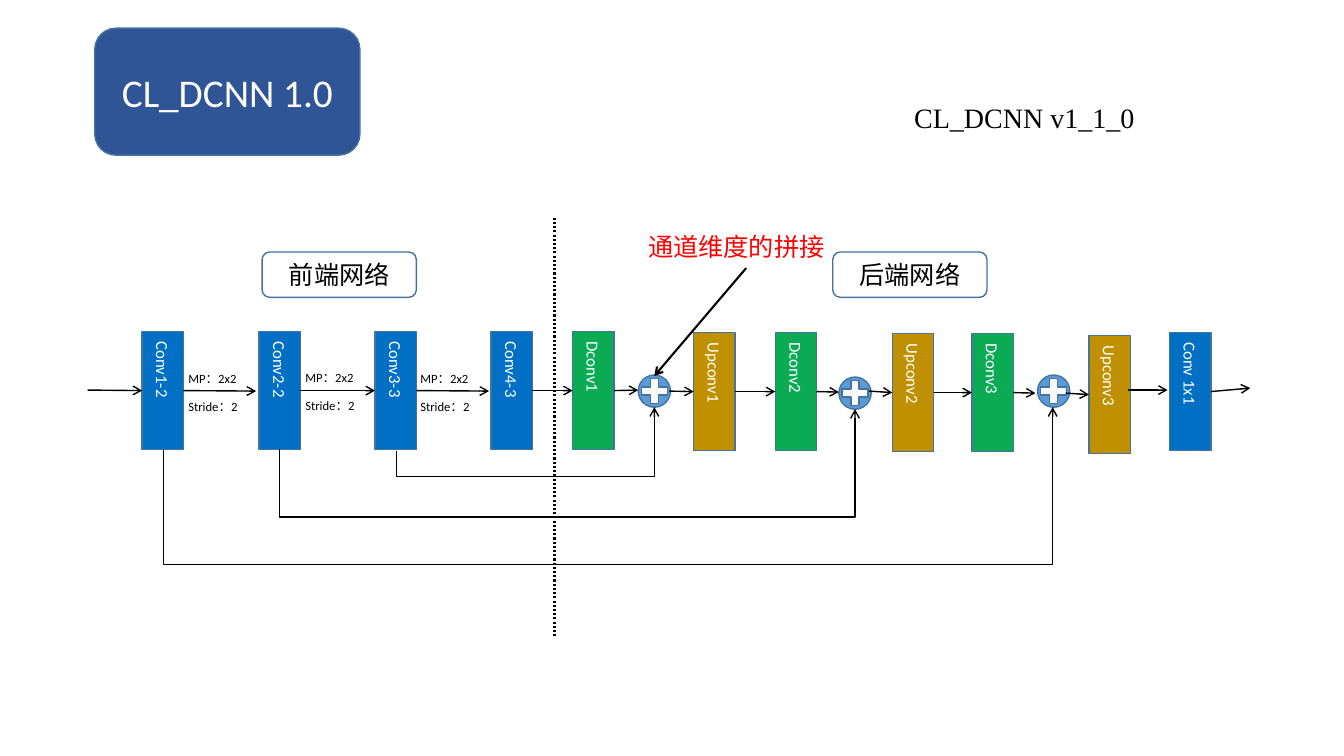
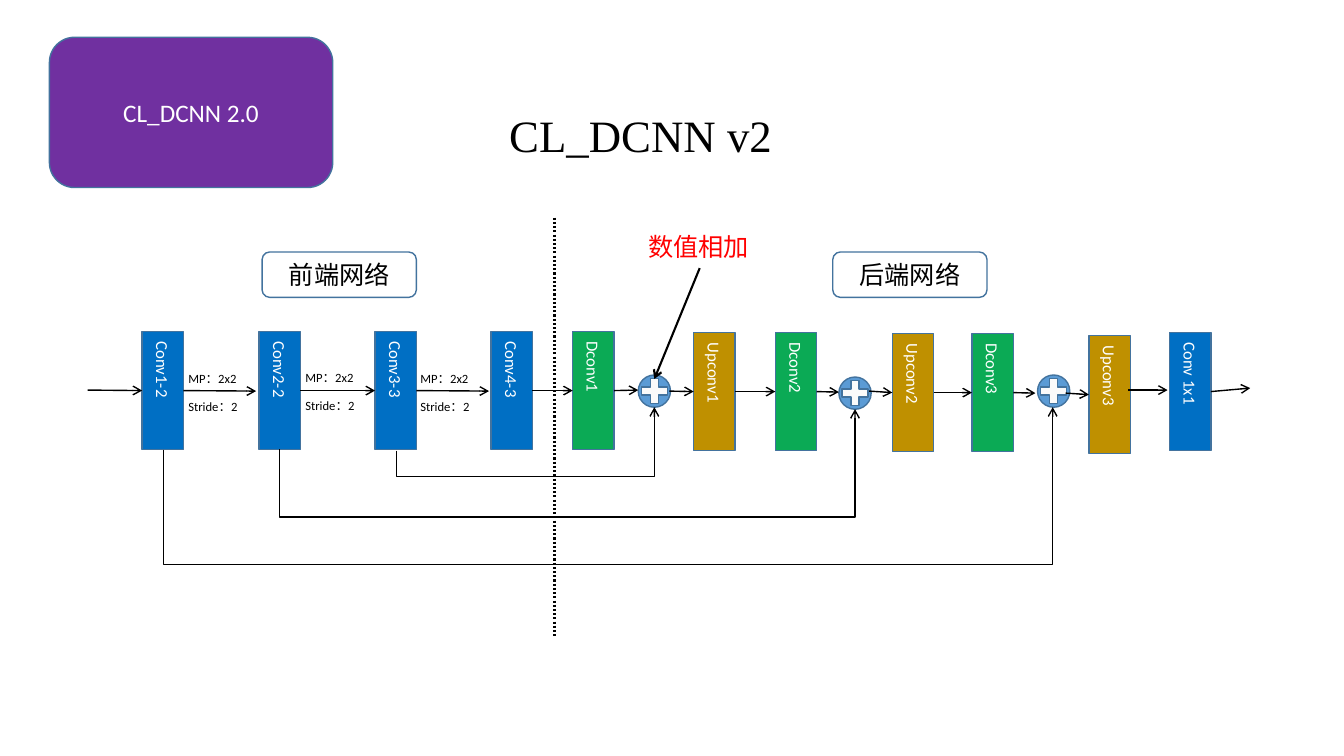
from dataclasses import dataclass

from lxml import etree
from pptx import Presentation
from pptx.dml.color import RGBColor
from pptx.enum.dml import MSO_LINE
from pptx.enum.shapes import MSO_CONNECTOR, MSO_SHAPE
from pptx.enum.text import MSO_ANCHOR, MSO_AUTO_SIZE, PP_ALIGN
from pptx.oxml.ns import qn
from pptx.util import Inches, Pt

RECTANGLE = MSO_SHAPE.RECTANGLE
ROUNDED = MSO_SHAPE.ROUNDED_RECTANGLE
OVAL = MSO_SHAPE.OVAL
PLUS = MSO_SHAPE.MATH_PLUS
STRAIGHT = MSO_CONNECTOR.STRAIGHT
ELBOW = MSO_CONNECTOR.ELBOW
DOTTED = MSO_LINE.ROUND_DOT
LEFT, CENTER = PP_ALIGN.LEFT, PP_ALIGN.CENTER
TOP, MIDDLE = MSO_ANCHOR.TOP, MSO_ANCHOR.MIDDLE
SIDE_LEFT, SIDE_RIGHT = 1, 3


@dataclass(frozen=True)
class Theme:
    body_font: str = "Calibri"
    title_font: str = "Times New Roman"
    black: str = "000000"
    white: str = "FFFFFF"
    red: str = "FF0000"
    outline: str = "43739E"
    conv: str = "006FC4"
    dconv: str = "0BAA55"
    upconv: str = "BF9000"
    node: str = "5B9BD5"
    plus: str = "FAFAFA"
    navy: str = "2F5597"
    purple: str = "7030A0"
    note_size: float = 9
    block_size: float = 12
    label_size: float = 18
    thin: float = 1
    thick: float = 1.5


THEME = Theme()

BLOCK_WIDTH, BLOCK_HEIGHT = 0.41, 1.17
# name, left, top, fill
BLOCKS = [
    ("Conv1-2", 1.41, 3.29, THEME.conv),
    ("Conv2-2", 2.57, 3.29, THEME.conv),
    ("Conv3-3", 3.72, 3.29, THEME.conv),
    ("Conv4-3", 4.87, 3.29, THEME.conv),
    ("Dconv1", 5.68, 3.29, THEME.dconv),
    ("Upconv1", 6.88, 3.3, THEME.upconv),
    ("Dconv2", 7.69, 3.3, THEME.dconv),
    ("Upconv2", 8.85, 3.31, THEME.upconv),
    ("Dconv3", 9.64, 3.31, THEME.dconv),
    ("Upconv3", 10.8, 3.33, THEME.upconv),
    ("Conv 1x1", 11.6, 3.3, THEME.conv),
]
# Each end is a block name or a free point
FLOW = [
    ((0.87, 3.87), "Conv1-2"),
    ("Conv1-2", (2.54, 3.88)),
    ("Conv2-2", "Conv3-3"),
    ("Conv3-3", (4.85, 3.88)),
    ("Conv4-3", "Dconv1"),
    ("Dconv1", (6.33, 3.87)),
    ((6.64, 3.88), "Upconv1"),
    ("Upconv1", "Dconv2"),
    ("Dconv2", (8.32, 3.89)),
    ((8.62, 3.88), "Upconv2"),
    ("Upconv2", "Dconv3"),
    ("Dconv3", (10.27, 3.9)),
    ((10.57, 3.9), "Upconv3"),
    ((11.19, 3.87), (11.58, 3.87)),
    ("Conv 1x1", (12.4, 3.85)),
]
MERGES = [(6.49, 3.88), (8.48, 3.9), (10.45, 3.88)]
# begin, end, depth of the horizontal run
SKIPS = [
    ((3.93, 4.47), (6.49, 4.04), 4.73),
    ((2.77, 4.46), (8.48, 4.06), 5.13),
    ((1.62, 4.46), (10.44, 4.04), 5.6),
]
POOLING = [(1.77, 3.63), (2.93, 3.62), (4.07, 3.63)]


def put_text(shape, text, *, size, color, font=THEME.body_font, align=CENTER,
             anchor=MIDDLE, vertical=False):
    frame = shape.text_frame
    frame.word_wrap = True
    frame.vertical_anchor = anchor
    if vertical:
        frame._txBody.bodyPr.set("vert", "eaVert")
    paragraph = frame.paragraphs[0]
    paragraph.alignment = align
    run = paragraph.add_run()
    run.text = text
    run.font.name = font
    run.font.size = Pt(size)
    run.font.color.rgb = RGBColor.from_string(color)


class Diagram:
    def __init__(self, presentation):
        self.presentation = presentation
        self.slide = None

    def new_slide(self):
        self.slide = self.presentation.slides.add_slide(self.presentation.slide_layouts[6])

    def shape(self, kind, left, top, width, height, fill=None, parent=None):
        shapes = (parent or self.slide).shapes
        shape = shapes.add_shape(kind, Inches(left), Inches(top), Inches(width), Inches(height))
        shape.shadow.inherit = False
        if fill:
            shape.fill.solid()
            shape.fill.fore_color.rgb = RGBColor.from_string(fill)
        else:
            shape.fill.background()
        shape.line.color.rgb = RGBColor.from_string(THEME.outline)
        shape.line.width = Pt(THEME.thin)
        return shape

    def text(self, text, left, top, width, height, **text_format):
        box = self.slide.shapes.add_textbox(Inches(left), Inches(top), Inches(width), Inches(height))
        put_text(box, text, anchor=TOP, **text_format)
        box.text_frame.auto_size = MSO_AUTO_SIZE.SHAPE_TO_FIT_TEXT

    def badge(self, text, area, fill=None, color=THEME.white, size=THEME.label_size):
        put_text(self.shape(ROUNDED, *area, fill=fill), text, size=size, color=color)

    def block(self, name, left, top, fill):
        block = self.shape(RECTANGLE, left, top, BLOCK_WIDTH, BLOCK_HEIGHT, fill)
        put_text(block, name, size=THEME.block_size, color=THEME.white, vertical=True)
        return block

    def merge(self, x, y):
        """Draw a circled plus centred on the given point."""
        group = self.slide.shapes.add_group_shape()
        for kind, width, height, fill in ((OVAL, 0.32, 0.32, THEME.node),
                                          (PLUS, 0.35, 0.34, THEME.plus)):
            self.shape(kind, x - width / 2, y - height / 2, width, height, fill, group)

    def line(self, begin, end, kind=STRAIGHT, width=THEME.thin, arrow=True, dash=None):
        connector = self.slide.shapes.add_connector(kind, *map(Inches, (*begin, *end)))
        connector.line.color.rgb = RGBColor.from_string(THEME.black)
        connector.line.width = Pt(width)
        if dash:
            connector.line.dash_style = dash
        properties = connector._element.spPr
        if arrow:
            etree.SubElement(properties.find(qn("a:ln")), qn("a:tailEnd"), type="arrow")
        etree.SubElement(properties, qn("a:effectLst"))
        return connector

    def flow(self, begin, end, blocks):
        """Draw an arrow; an end that names a block is joined to its side."""
        points = [(0, 0) if point in blocks else point for point in (begin, end)]
        connector = self.line(*points)
        if begin in blocks:
            connector.begin_connect(blocks[begin], SIDE_RIGHT)
        if end in blocks:
            connector.end_connect(blocks[end], SIDE_LEFT)

    def skip(self, begin, end, depth):
        """Draw a U-shaped arrow: an elbow turned by a quarter."""
        rise, run = begin[1] - end[1], end[0] - begin[0]
        x, y = (begin[0] + end[0]) / 2, (begin[1] + end[1]) / 2
        connector = self.line((x + rise / 2, y + run / 2), (x - rise / 2, y - run / 2), ELBOW)
        properties = connector._element.spPr
        properties.find(qn("a:xfrm")).set("rot", str(90 * 60000))
        geometry = properties.find(qn("a:prstGeom"))
        adjustments = geometry.find(qn("a:avLst"))
        if adjustments is None:
            adjustments = etree.SubElement(geometry, qn("a:avLst"))
        bend = round((begin[1] - depth) / rise * 100000)
        etree.SubElement(adjustments, qn("a:gd"), name="adj1", fmla=f"val {bend}")

    def network(self):
        blocks = {block[0]: self.block(*block) for block in BLOCKS}
        for center in MERGES:
            self.merge(*center)
        for begin, end in FLOW:
            self.flow(begin, end, blocks)
        for skip in SKIPS:
            self.skip(*skip)
        for left, top in POOLING:
            for row, note in enumerate(("MP：2x2", "Stride：2")):
                self.text(note, left, top + 0.28 * row, 0.76, 0.25,
                          size=THEME.note_size, color=THEME.black, align=LEFT)
        self.line((5.5, 2.16), (5.5, 6.31), width=THEME.thick, arrow=False, dash=DOTTED)
        for label, left in (("前端网络", 2.6), ("后端网络", 8.26)):
            self.badge(label, (left, 2.5, 1.53, 0.45), color=THEME.black)

    def callout(self, text, width, begin, end):
        self.text(text, 6.33, 2.25, width, 0.4,
                  size=THEME.label_size, color=THEME.red, align=LEFT)
        self.line(begin, end, width=THEME.thick)

    def title(self, text, area, size):
        self.text(text, *area, size=size, color=THEME.black, font=THEME.title_font)


def main():
    presentation = Presentation()
    presentation.slide_width = Inches(13.33)
    presentation.slide_height = Inches(7.5)
    diagram = Diagram(presentation)

    diagram.new_slide()
    diagram.network()
    diagram.badge("CL_DCNN 1.0", (0.94, 0.28, 2.63, 1.26), THEME.navy, size=28)
    diagram.title("CL_DCNN v1_1_0", (7.99, 0.95, 4.34, 0.44), 20)
    diagram.callout("通道维度的拼接", 2.15, (7.4, 2.66), (6.49, 3.73))

    diagram.new_slide()
    diagram.network()
    diagram.badge("CL_DCNN 2.0", (0.49, 0.37, 2.81, 1.49), THEME.purple)
    diagram.title("CL_DCNN v2 ", (3.3, 1.02, 6.22, 0.64), 32)
    diagram.callout("数值相加", 1.23, (6.94, 2.66), (6.49, 3.76))

    presentation.save("out.pptx")


if __name__ == "__main__":
    main()
